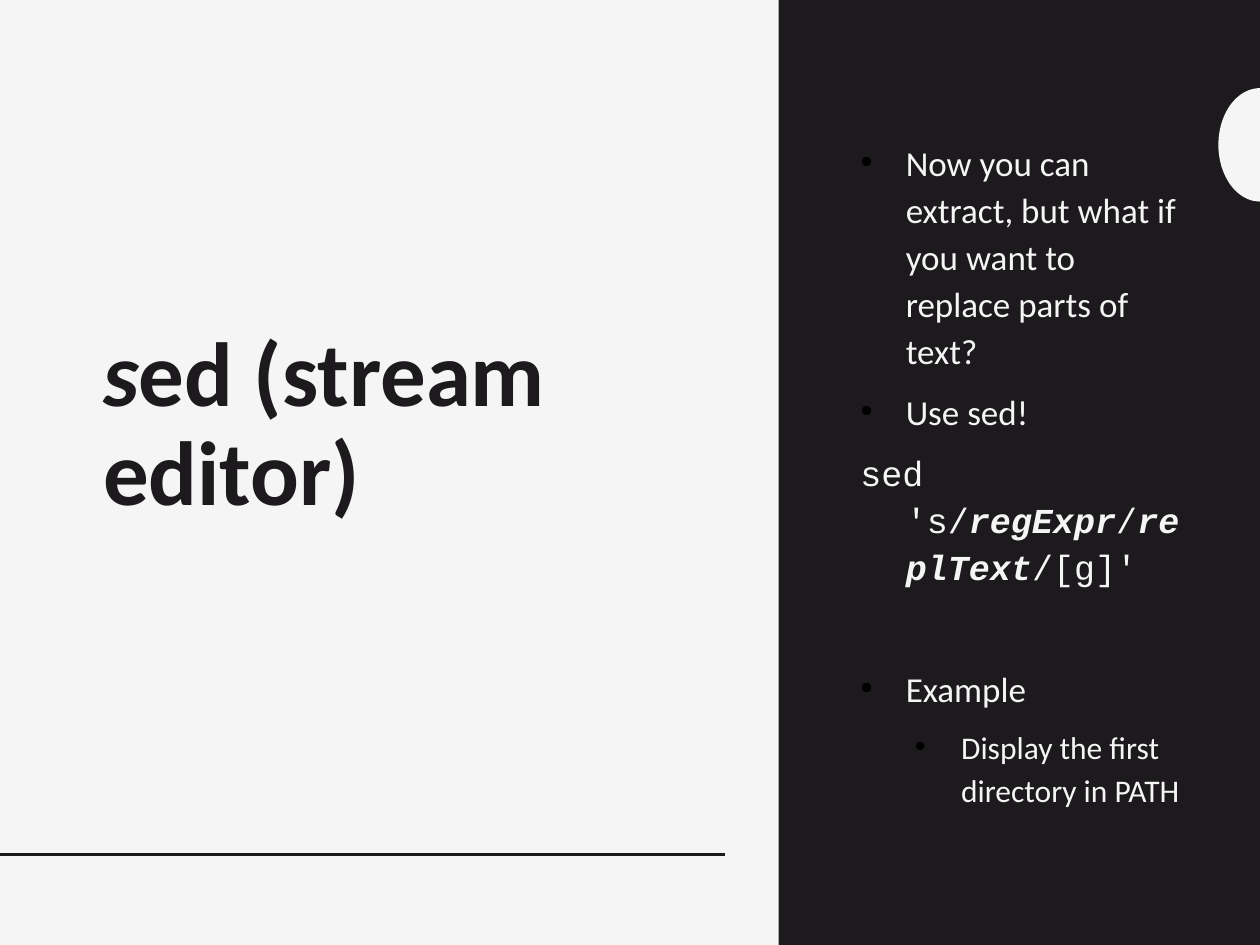
import math

from lxml import etree
from pptx import Presentation
from pptx.dml.color import RGBColor
from pptx.enum.shapes import MSO_CONNECTOR, MSO_SHAPE
from pptx.enum.text import MSO_ANCHOR
from pptx.oxml.ns import qn
from pptx.util import Inches, Pt

RECTANGLE = MSO_SHAPE.RECTANGLE
STRAIGHT = MSO_CONNECTOR.STRAIGHT
MIDDLE = MSO_ANCHOR.MIDDLE

COLORS = {"dark": "1D1A1D", "light": "F5F5F5", "bullet": "000000"}
TITLE = {"name": "Calibri", "size": Pt(52), "bold": True}
BODY = {"name": "Calibri", "size": Pt(20)}
DETAIL = {"name": "Calibri", "size": Pt(18)}
CODE = {"name": "Courier New", "size": Pt(20)}
ITALIC = {"italic": True}
VARIABLE = {"bold": True, "italic": True}

NOTES = [
    {"spans": [("Now you can extract, but what if you want to replace parts of text?", BODY)]},
    {"spans": [("Use sed!", BODY)], "before": 8},
    {
        "spans": [
            ("sed 's/", CODE),
            ("regExpr", CODE | VARIABLE),
            ("/", CODE),
            ("replText", CODE | VARIABLE),
            ("/[g]'", CODE),
        ],
        "before": 8,
        "bullet": False,
    },
    {"spans": [("Example", BODY)], "before": 43},
    {"spans": [("Display the first directory in PATH", DETAIL)], "before": 8, "level": 1},
]


def color(name):
    return RGBColor.from_string(COLORS[name])


def paint(shape, name):
    shape.shadow.inherit = False
    shape.fill.solid()
    shape.fill.fore_color.rgb = color(name)
    shape.line.fill.background()


def add_panel(page, left, width, fill):
    panel = page.shapes.add_shape(
        RECTANGLE, Inches(left), 0, Inches(width), Inches(7.5)
    )
    paint(panel, fill)


def add_rule(page, width, top):
    rule = page.shapes.add_connector(STRAIGHT, 0, Inches(top), Inches(width), Inches(top))
    rule.line.color.rgb = color("dark")
    rule.line.width = Pt(2)
    etree.SubElement(rule._element.spPr, qn("a:effectLst"))


def add_half_ellipse(page, right, middle, width, height, steps=48):
    angles = [math.pi * step / steps for step in range(steps + 1)]
    points = [
        (
            Inches(right - width * math.sin(angle)),
            Inches(middle - height / 2 * math.cos(angle)),
        )
        for angle in angles
    ]
    builder = page.shapes.build_freeform(*points[0])
    builder.add_line_segments(points[1:], close=True)
    paint(builder.convert_to_shape(), "light")


def add_text_frame(page, left, top, width, height):
    box = page.shapes.add_textbox(
        Inches(left), Inches(top), Inches(width), Inches(height)
    )
    frame = box.text_frame
    frame.word_wrap = True
    frame.vertical_anchor = MIDDLE
    return frame


def add_spans(para, spans, color_name):
    for text, values in spans:
        span = para.add_run()
        span.text = text
        span.font.color.rgb = color(color_name)
        for key, value in values.items():
            setattr(span.font, key, value)


def add_bullet(properties):
    tint = etree.SubElement(properties, qn("a:buClr"))
    etree.SubElement(tint, qn("a:srgbClr"), val=COLORS["bullet"])
    etree.SubElement(properties, qn("a:buSzPct"), val="45000")
    etree.SubElement(properties, qn("a:buChar"), char="●")


def add_note(para, spans, before=0, bullet=True, level=0):
    properties = para._p.get_or_add_pPr()
    margin, indent = ((0.47, -0.36), (0.91, -0.37))[level]
    properties.set("marL", str(Inches(margin)))
    properties.set("indent", str(Inches(indent)))
    if bullet:
        add_bullet(properties)
    para.level = level
    para.line_spacing = 1.12
    if before:
        para.space_before = Pt(before)
    add_spans(para, spans, "light")


def add_title(page):
    para = add_text_frame(page, 0.72, 0.7, 5.03, 5.37).paragraphs[0]
    para.line_spacing = 0.9
    add_spans(para, [("s", TITLE | ITALIC), ("ed (stream editor)", TITLE)], "dark")


def add_notes(page):
    frame = add_text_frame(page, 6.62, 0.7, 2.85, 6.1)
    for index, note in enumerate(NOTES):
        para = frame.add_paragraph() if index else frame.paragraphs[0]
        add_note(para, **note)


def main():
    deck = Presentation()
    deck.slide_width, deck.slide_height = Inches(10), Inches(7.5)
    page = deck.slides.add_slide(deck.slide_layouts[6])
    page.background.fill.solid()
    page.background.fill.fore_color.rgb = color("dark")
    add_panel(page, 0, 10, "light")
    add_title(page)
    add_rule(page, 5.75, 6.78)
    add_panel(page, 6.18, 3.82, "dark")
    add_notes(page)
    add_half_ellipse(page, 10, 1.15, 0.33, 0.9)
    deck.save("out.pptx")


if __name__ == "__main__":
    main()
